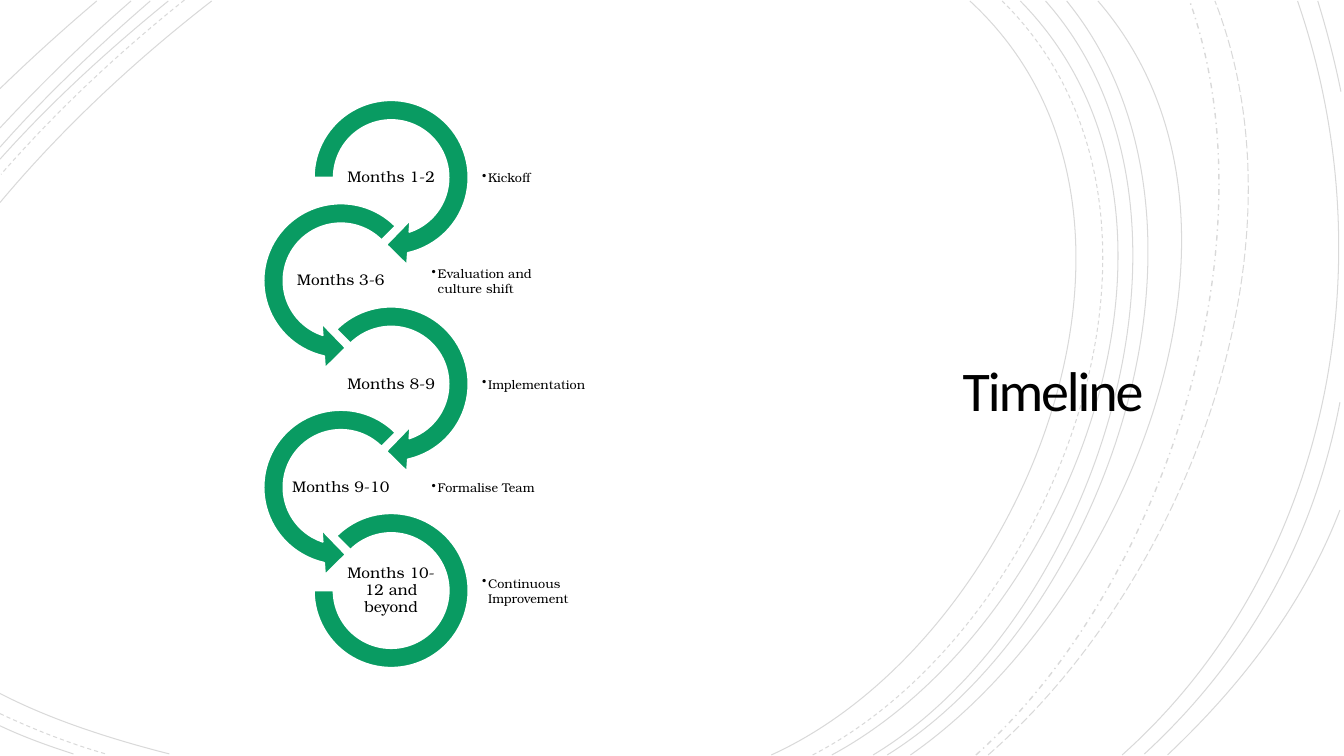
import pptx
import pptx.dml.color
import pptx.enum.dml
import pptx.enum.shapes
import pptx.enum.text
import pptx.oxml
import pptx.oxml.ns
import pptx.util

COLUMNS, ROWS = 13.33, 7.5
SHAPE = pptx.enum.shapes.MSO_SHAPE
DASH = pptx.enum.dml.MSO_LINE
ALIGN = pptx.enum.text.PP_ALIGN
BLACK, WHITE, GREEN = "000000", "FFFFFF", "099B62"
TITLE_FONT, BODY_FONT = "Calibri", "TeX Gyre Bonum"

# Sweeping arcs from the bottom edge to the top edge:
# bottom x, first control x and y, second control x and y, top x, dash, width
SWEEPS = [
    (7.65, 10.16, 6.35, 11.88, 2.09, 9.62, DASH.SOLID, 0.75),
    (8.06, 10.46, 6.25, 12.08, 2.12, 9.94, DASH.DASH, 0.75),
    (8.25, 10.61, 6.22, 12.21, 2.13, 10.12, DASH.SOLID, 0.75),
    (8.66, 10.87, 6.16, 12.21, 2.08, 10.37, DASH.SOLID, 0.75),
    (8.8, 11, 6.12, 12.33, 2.16, 10.58, DASH.SOLID, 0.75),
    (9.03, 11.13, 6.03, 12.78, 2.2, 10.89, DASH.SOLID, 0.75),
    (9.68, 11.54, 5.83, 12.65, 2.41, 11.8, DASH.DASH_DOT, 1),
    (9.8, 11.73, 5.81, 13.02, 2.51, 12.05, DASH.LONG_DASH, 0.75),
    (11.13, 13.2, 5.64, 13.76, 2.59, 12.87, DASH.SOLID, 0.75),
]
# Short arcs that cut the corners: four Bezier points and a dash
CORNERS = [
    ((0, 6.88), (0.52, 7.15), (1.13, 7.34), (1.68, 7.48), DASH.SOLID),
    ((0, 7.08), (0.34, 7.24), (0.7, 7.38), (1.05, 7.48), DASH.DASH),
    ((0, 7.2), (0.23, 7.31), (0.48, 7.4), (0.73, 7.48), DASH.SOLID),
    ((2.1, 0.01), (1.34, 0.6), (0.62, 1.27), (0, 2.01), DASH.SOLID),
    ((1.83, 0), (1.18, 0.52), (0.56, 1.1), (0.01, 1.73), DASH.DASH),
    ((1.67, 0.01), (1.08, 0.49), (0.51, 1.01), (0, 1.58), DASH.SOLID),
    ((1.49, 0.01), (0.97, 0.46), (0.46, 0.94), (0, 1.46), DASH.SOLID),
    ((1.3, 0.01), (0.84, 0.41), (0.41, 0.83), (0, 1.27), DASH.SOLID),
    ((0.96, 0.01), (0.63, 0.29), (0.31, 0.58), (0, 0.88), DASH.SOLID),
    ((11.35, 7.48), (12.38, 6.53), (13.03, 5.36), (13.29, 3.99), DASH.SOLID),
    ((13.3, 0.91), (13.24, 0.61), (13.16, 0.3), (13.07, 0.01), DASH.SOLID),
    ((11.58, 7.49), (12.31, 6.8), (12.93, 6), (13.29, 5.06), DASH.SOLID),
]
STEPS = [
    ("Months 1-2", "Kickoff"),
    ("Months 3-6", "Evaluation and culture shift"),
    ("Months 8-9", "Implementation"),
    ("Months 9-10", "Formalise Team"),
    ("Months 10-12 and beyond", "Continuous Improvement"),
]


def color(hex_text):
    return pptx.dml.color.RGBColor.from_string(hex_text)


def inches(*lengths):
    return [pptx.util.Inches(length) for length in lengths]


def element(tag, attributes=""):
    return pptx.oxml.parse_xml(
        f'<{tag} {pptx.oxml.ns.nsdecls("a")} {attributes}/>')


def format_text(shape, text, font, size, align, inset):
    frame = shape.text_frame
    frame.text = text
    frame.word_wrap = True
    frame.auto_size = pptx.enum.text.MSO_AUTO_SIZE.NONE
    frame.vertical_anchor = pptx.enum.text.MSO_ANCHOR.MIDDLE
    frame.margin_left = frame.margin_right = pptx.util.Inches(inset)
    frame.margin_top = frame.margin_bottom = pptx.util.Inches(inset)
    para = frame.paragraphs[0]
    para.alignment = align
    span = para.runs[0]
    span.font.name = font
    span.font.size = pptx.util.Pt(size)
    span.font.color.rgb = color(BLACK)
    return para


def draw_curve(page, points, dash, width):
    """Draw one cubic Bezier as a fine, faint open outline."""
    start, *others = [inches(*point) for point in points]
    builder = page.shapes.build_freeform(*start)
    builder.add_line_segments(others, close=False)
    curve = builder.convert_to_shape()
    segments = curve._element.findall(".//" + pptx.oxml.ns.qn("a:lnTo"))
    bezier = element("a:cubicBezTo")
    segments[0].addprevious(bezier)
    for segment in segments:
        bezier.append(segment[0])
        segment.getparent().remove(segment)
    curve.shadow.inherit = False
    curve.fill.background()
    curve.line.color.rgb = color(BLACK)
    curve.line.width = pptx.util.Pt(width)
    curve.line.dash_style = dash
    tint = curve.line._ln.find(".//" + pptx.oxml.ns.qn("a:srgbClr"))
    tint.append(element("a:alpha", 'val="15000"'))


def add_backdrop(page):
    for bottom_x, x1, y1, x2, y2, top_x, dash, width in SWEEPS:
        points = ((bottom_x, ROWS - 0.01), (x1, y1), (x2, y2), (top_x, 0.01))
        draw_curve(page, points, dash, width)
    for *points, dash in CORNERS:
        draw_curve(page, points, dash, 0.75)


def add_title(page, left, top, width, height):
    title = page.shapes.title
    title.left, title.top, title.width, title.height = inches(
        left, top, width, height)
    para = format_text(title, "Timeline", TITLE_FONT, 40, ALIGN.CENTER, 0.25)
    para.line_spacing = 0.85
    para.runs[0].font._element.set("spc", "-150")


def add_ring(page, kind, adjustments, left, top, size):
    ring = page.shapes.add_shape(kind, *inches(left, top, size, size))
    for index, value in enumerate(adjustments):
        ring.adjustments[index] = value
    ring.shadow.inherit = False
    ring.fill.solid()
    ring.fill.fore_color.rgb = color(GREEN)
    ring.line.color.rgb = color(WHITE)
    ring.line.width = pptx.util.Pt(1.25)


def add_bullet(para):
    para.level = 1
    props = para._p.get_or_add_pPr()
    props.set("marL", str(pptx.util.Inches(0.06)))
    props.set("indent", str(pptx.util.Inches(-0.06)))
    props.append(element("a:buChar", 'char="•"'))


def add_timeline(page, left, top, height):
    ring = height / 3.3
    pitch = ring * 0.575
    last = len(STEPS) - 1
    for index, (months, activity) in enumerate(STEPS):
        faces_left = index % 2 == 1
        x = left if faces_left else left + ring * 0.28
        y = top + index * pitch
        if index == last:
            inset = ring * 0.07
            add_ring(page, SHAPE.BLOCK_ARC, (135, 108, 0.127),
                     x + inset, y + inset, ring - 2 * inset)
        elif faces_left:
            add_ring(page, SHAPE.LEFT_CIRCULAR_ARROW,
                     (0.11, 11.423, 63, 189, 0.125), x, y, ring)
        else:
            start = 108 if index == 0 else 135
            add_ring(page, SHAPE.CIRCULAR_ARROW,
                     (0.11, 11.423, 45, start, 0.125), x, y, ring)

        note = page.shapes.add_textbox(
            *inches(x + ring, y + ring * 0.3, ring * 0.6, ring * 0.4))
        add_bullet(format_text(note, activity, BODY_FONT, 9, ALIGN.LEFT, 0.01))

        label = page.shapes.add_textbox(
            *inches(x + ring * 0.22, y + ring * 0.36, ring * 0.56, ring * 0.28))
        para = format_text(label, months, BODY_FONT, 11, ALIGN.CENTER, 0.01)
        para.line_spacing = 0.9


def main():
    deck = pptx.Presentation()
    deck.slide_width, deck.slide_height = inches(COLUMNS, ROWS)
    page = deck.slides.add_slide(deck.slide_layouts[5])
    add_backdrop(page)
    add_title(page, 8.53, 2.57, 3.83, 2.69)
    add_timeline(page, 2.49, 0.87, 5.88)
    deck.save("out.pptx")


if __name__ == "__main__":
    main()
